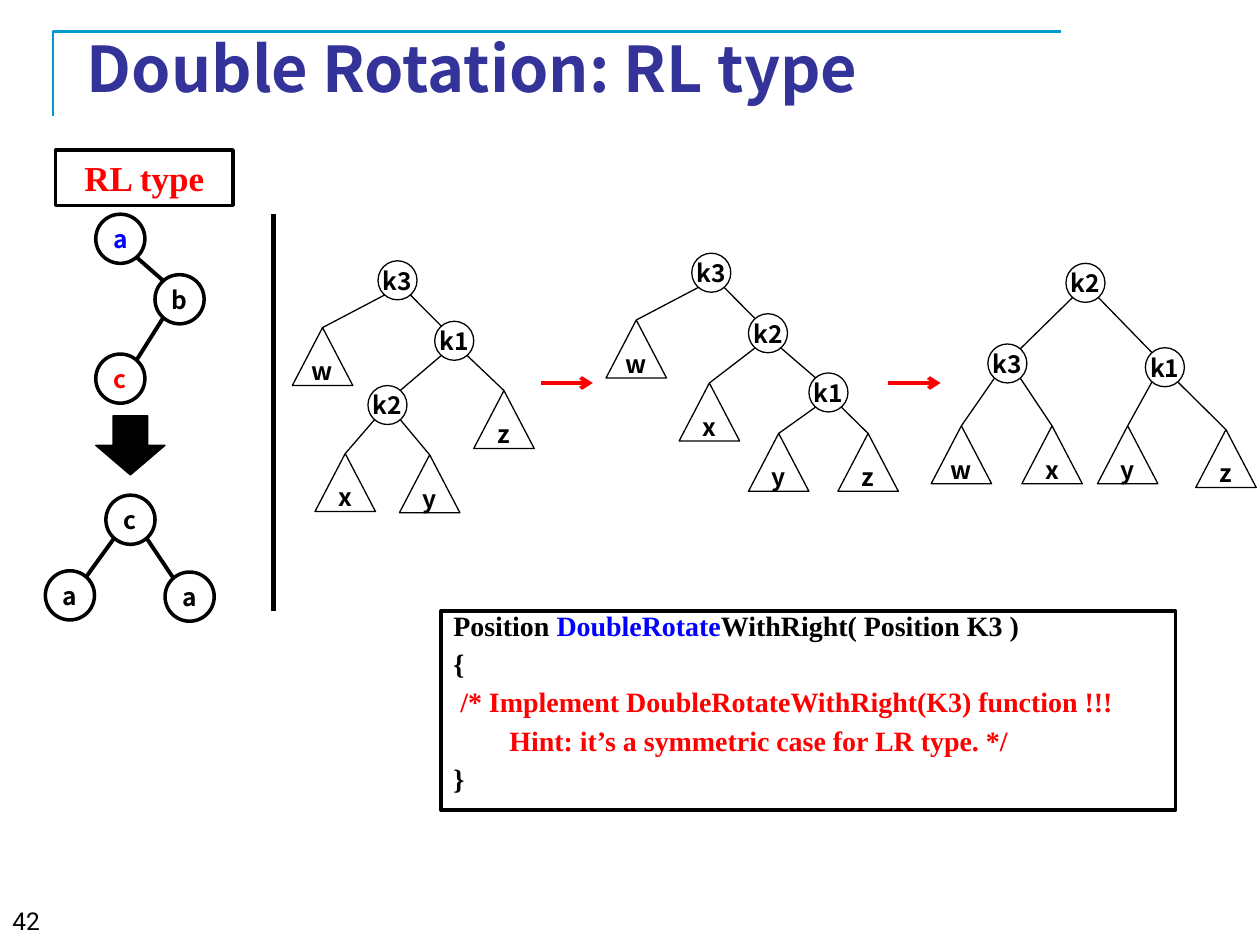
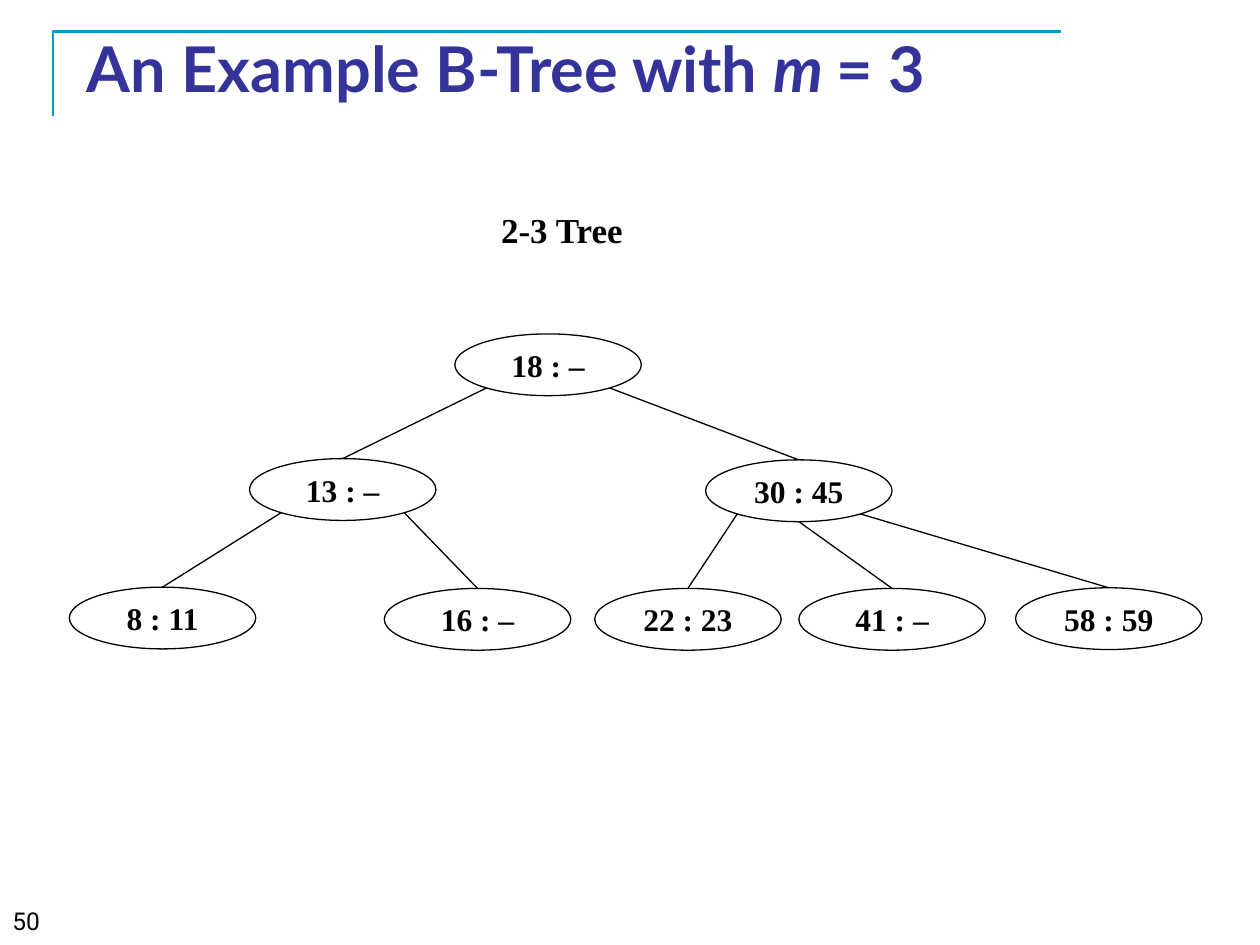
from dataclasses import dataclass
from math import copysign, sqrt

from lxml.etree import SubElement
from pptx import Presentation
from pptx.dml.color import RGBColor
from pptx.enum.shapes import MSO_CONNECTOR, MSO_SHAPE
from pptx.enum.text import MSO_ANCHOR, MSO_AUTO_SIZE, PP_ALIGN
from pptx.oxml.ns import qn
from pptx.util import Inches, Pt


@dataclass(frozen=True)
class Theme:
    ink = RGBColor(0, 0, 0)
    paper = RGBColor(255, 255, 255)
    title = RGBColor(0x33, 0x33, 0x99)
    frame = RGBColor(0, 0x99, 0xCC)
    red = RGBColor(255, 0, 0)
    blue = RGBColor(0, 0, 255)
    sans = "Noto Sans CJK KR"
    serif = "Times New Roman"
    lato = "Lato"
    folio = "Roboto"
    head = 36
    label = 20
    key = 18
    code = 16
    small = 14
    thin = 0.75
    thick = 2
    bold = 2.25


@dataclass(frozen=True)
class Style:
    """How the nodes and edges of a tree look; width and height in cells."""
    shape: int
    width: float
    height: float
    line: float
    edge: float
    lean: float  # how far edges end towards the parent, in half widths
    font: str
    size: float


@dataclass(frozen=True)
class Node:
    text: str
    x: float
    y: float
    kids: tuple = ()
    color: RGBColor = Theme.ink
    style: Style = None


FAN = 0.66  # where outer edges leave a node, in half widths
RING = Style(MSO_SHAPE.OVAL, 3.1, 3.1, Theme.thin, Theme.thin, FAN, Theme.sans, Theme.small)
LEAF = Style(MSO_SHAPE.ISOSCELES_TRIANGLE, 4.8, 4.6, Theme.thin, Theme.thin, 0, Theme.sans, Theme.small)
DISC = Style(MSO_SHAPE.OVAL, 3.9, 3.9, Theme.thick, Theme.bold, FAN, Theme.sans, Theme.small)
KEYS = Style(MSO_SHAPE.OVAL, 14.8, 4.9, Theme.thin, Theme.thin, 0, Theme.serif, Theme.key)


def cell(n):
    """The slide is a grid of 100 columns by 75 rows."""
    return Inches(n / 10)


def write(para, runs, font, size, color=Theme.ink, bold=True):
    """Fill a paragraph with (text, colour, italic) runs."""
    para.font.name, para.font.size, para.font.bold = font, Pt(size), bold
    para.font.color.rgb = color
    for text, tint, slant in runs:
        run = para.add_run()
        run.text = text
        if tint is not None:
            run.font.color.rgb = tint
        if slant:
            run.font.italic = True


def plain(text):
    return [(text, None, False)]


def block(slide, kind, box, line, fill=Theme.paper):
    shape = slide.shapes.add_shape(kind, *map(cell, box))
    shape.shadow.inherit = False
    shape.fill.solid()
    shape.fill.fore_color.rgb = fill
    shape.line.color.rgb = Theme.ink
    shape.line.width = Pt(line)
    return shape


def note(slide, box, text, font, size, align=PP_ALIGN.LEFT, bold=True):
    frame = slide.shapes.add_textbox(*map(cell, box)).text_frame
    frame.word_wrap = True
    para = frame.paragraphs[0]
    para.alignment = align
    write(para, plain(text), font, size, bold=bold)
    return para


def link(slide, start, end, width, color=Theme.ink, arrow=False):
    line = slide.shapes.add_connector(MSO_CONNECTOR.STRAIGHT, *map(cell, start + end))
    line.line.color.rgb = color
    line.line.width = Pt(width)
    props = line._element.spPr
    if arrow:
        SubElement(props.find(qn("a:ln")), qn("a:tailEnd"), type="arrow")
    SubElement(props, qn("a:effectLst"))


def rim(x, y, style, share, side):
    """Point on an ellipse at a share of its half width; side 1 is below."""
    rise = sqrt(1 - share * share)
    return x + share * style.width / 2, y + side * rise * style.height / 2


def tree(slide, left, top, node, style):
    """Draw a node and all below it, relative to the corner of its box."""
    look = node.style or style
    x, y = left + node.x, top + node.y
    last = len(node.kids) - 1
    for i, kid in enumerate(node.kids):
        form = kid.style or style
        way = copysign(1, kid.x - node.x)
        start = rim(x, y, look, 0 if 0 < i < last else way * FAN, 1)
        end = rim(left + kid.x, top + kid.y, form, -way * form.lean, -1)
        link(slide, start, end, look.edge)
        tree(slide, left, top, kid, style)
    box = x - look.width / 2, y - look.height / 2, look.width, look.height
    frame = block(slide, look.shape, box, look.line).text_frame
    frame.word_wrap = False
    frame.vertical_anchor = MSO_ANCHOR.MIDDLE
    para = frame.paragraphs[0]
    para.alignment = PP_ALIGN.CENTER
    write(para, plain(node.text), look.font, look.size, node.color)


def leaf(text, x, y):
    return Node(text, x, y, style=LEAF)


def base(deck, runs, font, page):
    """Title, corner frame and page number shared by the slides."""
    slide = deck.slides.add_slide(deck.slide_layouts[5])
    pen = slide.shapes.build_freeform(cell(4.2), cell(9.2))
    pen.add_line_segments([(cell(4.2), cell(2.5)), (cell(84.2), cell(2.5))], close=False)
    frame = pen.convert_to_shape()
    frame.shadow.inherit = False
    frame.fill.background()
    frame.line.color.rgb = Theme.frame
    frame.line.width = Pt(1.5)

    title = slide.shapes.title
    title.left, title.top, title.width, title.height = map(cell, (5.9, 3, 85, 4.7))
    text = title.text_frame
    text.auto_size = MSO_AUTO_SIZE.NONE
    text.vertical_anchor = MSO_ANCHOR.MIDDLE
    para = text.paragraphs[0]
    para.alignment = PP_ALIGN.LEFT
    write(para, runs, font, Theme.head, Theme.title)

    note(slide, (0, 71.4, 31.2, 3.6), page, Theme.folio, Theme.small, bold=False)
    return slide


def side(slide, left, top):
    """Summary column: the case before and after, and its divider."""
    frame = block(slide, MSO_SHAPE.RECTANGLE, (left + 0.8, top, 14.1, 4.4), Theme.thick).text_frame
    frame.vertical_anchor = MSO_ANCHOR.TOP
    para = frame.paragraphs[0]
    para.alignment = PP_ALIGN.CENTER
    write(para, plain("RL type"), Theme.serif, Theme.label, Theme.red)

    low = Node("c", 5.95, 13.05, color=Theme.red)
    mid = Node("b", 10.65, 6.75, (low,))
    tree(slide, left, top + 5.1, Node("a", 5.95, 1.95, (mid,), Theme.blue), DISC)
    block(slide, MSO_SHAPE.DOWN_ARROW, (left + 4, top + 21.1, 5.5, 4.7), Theme.thin, Theme.ink)
    pair = Node("a", 1.95, 7.95), Node("a", 11.45, 8.05)
    tree(slide, left, top + 27.4, Node("c", 6.75, 1.95, pair), DISC)
    link(slide, (left + 18.1, top + 5.1), (left + 18.1, top + 36.6), 3)


def steps(slide, left, top):
    """The three stages of the rotation, joined by arrows."""
    start = Node("k3", 8.35, 1.55, (
        leaf("w", 2.4, 7.6),
        Node("k1", 12.85, 6.35, (
            Node("k2", 7.55, 11.45, (leaf("x", 4.2, 17.6), leaf("y", 10.9, 17.7))),
            leaf("z", 16.8, 12.6)))))
    turn = Node("k3", 8.35, 1.55, (
        leaf("w", 2.4, 7.6),
        Node("k2", 12.85, 6.35, (
            leaf("x", 8.2, 12.6),
            Node("k1", 17.65, 11.05, (leaf("y", 13.7, 16.6), leaf("z", 20.8, 16.6)))))))
    done = Node("k2", 12.25, 1.55, (
        Node("k3", 6.05, 7.95, (leaf("w", 2.4, 15.2), leaf("x", 9.6, 15.2))),
        Node("k1", 18.55, 8.25, (leaf("y", 15.6, 15.2), leaf("z", 23.4, 15.5)))))
    for x, y, root in ((0, 0.6, start), (24.9, 0, turn), (50.7, 0.8, done)):
        tree(slide, left + x, top + y, root, RING)
    for x in (19.7, 47.3):
        link(slide, (left + x, top + 10.3), (left + x + 4.15, top + 10.3),
             Theme.bold, Theme.red, True)


def code(slide, box):
    """Listing of the function to fill in: indent in points, then runs."""
    lines = (
        (0, [("Position ", None, False), ("DoubleRotate", Theme.blue, False),
             ("WithRight( Position K3 )", None, False)]),
        (0, plain("{")),
        (4, [("/* Implement DoubleRotateWithRight(K3) function !!!", Theme.red, False)]),
        (32, [("Hint: it’s a symmetric case for LR type. */", Theme.red, False)]),
        (0, plain("}")),
    )
    frame = block(slide, MSO_SHAPE.RECTANGLE, box, Theme.thick).text_frame
    frame.word_wrap = True
    frame.vertical_anchor = MSO_ANCHOR.TOP
    for i, (indent, runs) in enumerate(lines):
        para = frame.add_paragraph() if i else frame.paragraphs[0]
        para.alignment = PP_ALIGN.LEFT
        para.line_spacing = 0.7
        para.space_before = Pt(8.5 if i else 0)
        para._p.get_or_add_pPr().set("marL", str(Pt(indent)))
        write(para, runs, Theme.serif, Theme.code)


def double(deck):
    slide = base(deck, plain("Double Rotation: RL type"), Theme.sans, "42")
    side(slide, 3.6, 11.9)
    steps(slide, 23.2, 20.1)
    code(slide, (35, 48.5, 58.3, 15.8))


def sample(deck):
    runs = [("An Example B-Tree with ", None, False), ("m ", None, True), ("= 3", None, False)]
    slide = base(deck, runs, Theme.lato, "50")
    para = note(slide, (6.1, 15.7, 77, 4.7), "2-3 Tree", Theme.serif, Theme.label, PP_ALIGN.CENTER)
    para.line_spacing = 1.1
    root = Node("18 : –", 38, 2.45, (
        Node("13 : –", 21.7, 12.35, (Node("8 : 11", 7.4, 22.55), Node("16 : –", 32.4, 22.65))),
        Node("30 : 45", 57.9, 12.45, (
            Node("22 : 23", 49.1, 22.65), Node("41 : –", 65.3, 22.65),
            Node("58 : 59", 82.5, 22.6)))))
    tree(slide, 5.5, 26.5, root, KEYS)


def main():
    deck = Presentation()
    deck.slide_width, deck.slide_height = cell(100), cell(75)
    double(deck)
    sample(deck)
    deck.save("out.pptx")


if __name__ == "__main__":
    main()
